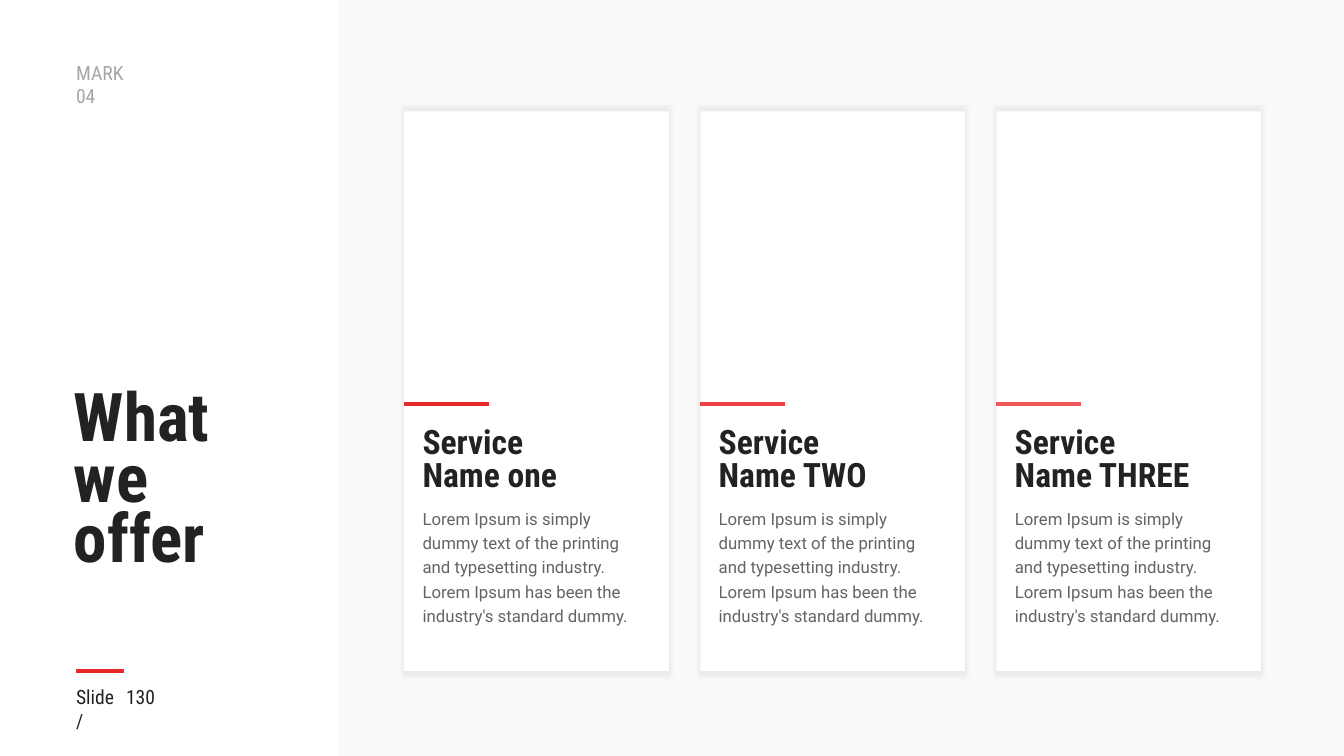
from pptx import Presentation
from pptx.dml.color import RGBColor
from pptx.enum.shapes import MSO_CONNECTOR, MSO_SHAPE
from pptx.enum.text import MSO_ANCHOR
from pptx.oxml import parse_xml
from pptx.oxml.ns import nsdecls, qn
from pptx.util import Pt
from lxml import etree

PX = 9525  # EMU per px, 96 px to the inch
RECT, STRAIGHT = MSO_SHAPE.RECTANGLE, MSO_CONNECTOR.STRAIGHT
TOP, MIDDLE = MSO_ANCHOR.TOP, MSO_ANCHOR.MIDDLE

COLORS = {
    "ink": "222222", "white": "FFFFFF", "shadow": "000000",
    "red": "E52828", "red_mid": "EC4242", "red_light": "F05959",
}
LABEL = {"name": "Roboto Condensed", "size": Pt(14), "bold": False}
TITLE = {"name": "Roboto Condensed", "size": Pt(48), "bold": True}
HEADING = {"name": "Roboto Condensed", "size": Pt(24), "bold": True}
BODY = {"name": "Roboto", "size": Pt(12), "bold": False}

DESCRIPTION = ("Lorem Ipsum is simply dummy text of the printing and typesetting "
               "industry. Lorem Ipsum has been the industry's standard dummy.")
SERVICES = [("Name one", "red"), ("Name TWO", "red_mid"), ("Name THREE", "red_light")]

SHADOW = (
    f'<a:effectLst {nsdecls("a")}><a:outerShdw blurRad="38100" sx="102000" sy="102000" '
    f'algn="ctr" rotWithShape="0"><a:srgbClr val="{COLORS["shadow"]}">'
    '<a:alpha val="5000"/></a:srgbClr></a:outerShdw></a:effectLst>')


def px(*lengths):
    return [length * PX for length in lengths]


def set_color(fill, color):
    fill.solid()
    fill.fore_color.rgb = RGBColor.from_string(COLORS[color])


def set_opacity(element, opacity):
    for color in element.iter(qn("a:srgbClr")):
        etree.SubElement(color, qn("a:alpha")).set("val", str(opacity * 1000))


def add_panel(slide, box, color, opacity=100):
    panel = slide.shapes.add_shape(RECT, *px(*box))
    panel.shadow.inherit = False
    panel.line.fill.background()
    set_color(panel.fill, color)
    if opacity < 100:
        set_opacity(panel._element.spPr, opacity)
    return panel


def add_accent(slide, left, top, length, color):
    accent = slide.shapes.add_connector(STRAIGHT, *px(left, top, left + length, top))
    accent.line.width = Pt(3)
    set_color(accent.line.fill, color)
    etree.SubElement(accent._element.spPr, qn("a:effectLst"))


def add_text(slide, box, lines, style, spacing=1.0, opacity=100, anchor=TOP, insets=None):
    frame = slide.shapes.add_textbox(*px(*box)).text_frame
    frame.word_wrap = True
    frame.vertical_anchor = anchor
    if insets:
        frame.margin_left, frame.margin_top = px(*insets)
        frame.margin_right, frame.margin_bottom = px(*insets)
    for index, line in enumerate(lines):
        paragraph = frame.paragraphs[0] if index == 0 else frame.add_paragraph()
        paragraph.line_spacing = spacing
        for part_index, part in enumerate(line.split("\n")):
            if part_index:
                paragraph.add_line_break()
            run = paragraph.add_run()
            run.text = part
            for attribute, value in style.items():
                setattr(run.font, attribute, value)
            set_color(run.font.fill, "ink")
            if opacity < 100:
                set_opacity(run._r, opacity)


def add_sidebar(slide, left, top):
    # Section mark and title
    add_text(slide, (left, top + 53, 67, 33), ["MARK04"], LABEL, opacity=40)
    add_text(slide, (left - 2, top + 370, 269, 228), ["What\nwe\noffer"], TITLE, spacing=0.75)
    # Slide number
    add_accent(slide, left + 9, top + 639, 46, "red")
    add_text(slide, (left, top + 648, 62, 33), ["Slide /"], LABEL)
    add_text(slide, (left + 45, top + 646, 68, 35), ["130"], LABEL,
             anchor=MIDDLE, insets=(12, 7))


def add_service_card(slide, left, top, width, height, name, color):
    card = add_panel(slide, (left, top, width, height), "white")
    properties = card._element.spPr
    properties.replace(properties.find(qn("a:effectLst")), parse_xml(SHADOW))
    add_accent(slide, left, top + 279, 81, color)
    add_text(slide, (left + 8, top + 298, 244, 89), ["Service", name], HEADING, spacing=0.8)
    add_text(slide, (left + 8, top + 370, 228, 143), [DESCRIPTION], BODY,
             spacing=1.2, opacity=70)


def main():
    deck = Presentation()
    deck.slide_width, deck.slide_height = px(1280, 720)
    slide = deck.slides.add_slide(deck.slide_layouts[6])
    add_panel(slide, (321, 0, 959, 720), "ink", opacity=2)
    add_sidebar(slide, 63, 0)
    # Service cards at an equal pitch
    for index, (name, color) in enumerate(SERVICES):
        add_service_card(slide, 385 + 282 * index, 106, 252, 533, name, color)
    deck.save("out.pptx")


if __name__ == "__main__":
    main()
